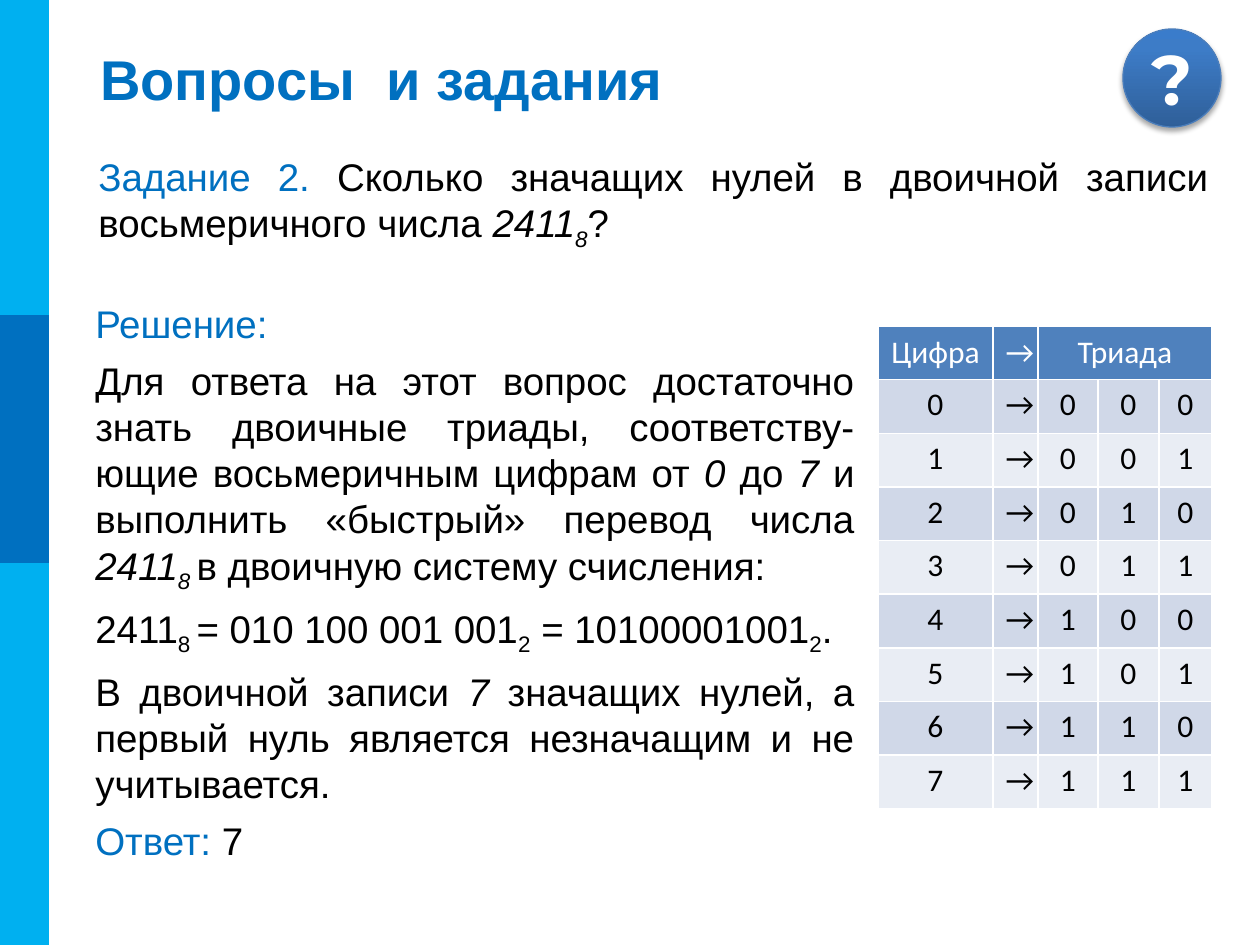
from lxml import etree
from pptx import Presentation
from pptx.dml.color import RGBColor
from pptx.enum.shapes import MSO_SHAPE
from pptx.enum.text import MSO_ANCHOR, PP_ALIGN
from pptx.util import Emu, Pt

RECTANGLE, OVAL = MSO_SHAPE.RECTANGLE, MSO_SHAPE.OVAL
TOP, MIDDLE = MSO_ANCHOR.TOP, MSO_ANCHOR.MIDDLE
LEFT, CENTER, JUSTIFY = PP_ALIGN.LEFT, PP_ALIGN.CENTER, PP_ALIGN.JUSTIFY

BLUE = RGBColor(0x00, 0x70, 0xC0)
CYAN = RGBColor(0x00, 0xB0, 0xF0)
BLACK = RGBColor(0x00, 0x00, 0x00)
WHITE = RGBColor(0xFF, 0xFF, 0xFF)
BADGE_LINE = RGBColor(0x4B, 0x7E, 0xBC)
HEADER = RGBColor(0x4F, 0x81, 0xBD)
ODD_ROW = RGBColor(0xD0, 0xD8, 0xE8)
EVEN_ROW = RGBColor(0xE9, 0xED, 0xF4)
BADGE_STOPS = [(0, "2F5F99"), (80, "3D7CC7"), (100, "3A7CCB")]

DRAWING = "http://schemas.openxmlformats.org/drawingml/2006/main"
ITALIC, SUB, BLUE_SPAN = "italic", "sub", "blue"

TASK = [
    (JUSTIFY, 4.4, [
        ("Задание 2. ", BLUE_SPAN),
        ("Сколько значащих нулей в двоичной записи восьмеричного числа ",),
        ("2411", ITALIC), ("8", ITALIC, SUB), ("?",)]),
]
SOLUTION = [
    (LEFT, 0, [("Решение:", BLUE_SPAN)]),
    (JUSTIFY, 6, [
        ("Для ответа на этот вопрос достаточно знать двоичные триады, "
         "соответству-ющие восьмеричным цифрам от ",),
        ("0", ITALIC), (" до ",), ("7", ITALIC),
        (" и выполнить «быстрый» перевод числа ",),
        ("2411", ITALIC), ("8 ", ITALIC, SUB),
        ("в двоичную систему счисления:",)]),
    (LEFT, 6, [
        ("2411",), ("8 ", SUB), ("= 010 100 001 001",), ("2", SUB),
        (" = 10100001001",), ("2", SUB), (".",)]),
    (JUSTIFY, 6, [
        ("В двоичной записи ",), ("7 ", ITALIC),
        ("значащих нулей, а первый нуль является незначащим и не учитывается.",)]),
    (JUSTIFY, 6, [("Ответ: ", BLUE_SPAN), ("7",)]),
]


def px(length):
    """Turn pixels into EMU."""
    return Emu(round(length * 914400 / 126))


def set_font(font, name, size, color, bold=False):
    """Set the main properties of a font."""
    font.name, font.size, font.bold = name, Pt(size), bold
    font.color.rgb = color


def add_preset(page, preset, left, top, width, height, fill):
    """Add a plain filled shape without line or shadow."""
    shape = page.shapes.add_shape(preset, px(left), px(top), px(width), px(height))
    shape.shadow.inherit = False
    shape.fill.solid()
    shape.fill.fore_color.rgb = fill
    shape.line.fill.background()
    return shape


def add_badge(page):
    """Add the round question mark with its gradient and soft shadow."""
    badge = add_preset(page, OVAL, 1123, 29, 98, 98, BLUE)
    badge.line.color.rgb = BADGE_LINE
    badge.line.width = Pt(0.75)
    stops = "".join(f'<a:gs pos="{place * 1000}"><a:srgbClr val="{color}"/></a:gs>'
                    for place, color in BADGE_STOPS)
    gradient = etree.fromstring(
        f'<a:gradFill xmlns:a="{DRAWING}"><a:gsLst>{stops}</a:gsLst>'
        '<a:lin ang="16200000" scaled="0"/></a:gradFill>')
    shadow = etree.fromstring(
        f'<a:outerShdw xmlns:a="{DRAWING}" blurRad="{Pt(3.1)}" dist="{Pt(1.8)}" '
        'dir="5400000" rotWithShape="0"><a:srgbClr val="000000">'
        '<a:alpha val="35000"/></a:srgbClr></a:outerShdw>')
    properties = badge.element.spPr
    properties.replace(properties.find(f"{{{DRAWING}}}solidFill"), gradient)
    properties.find(f"{{{DRAWING}}}effectLst").append(shadow)
    badge.text_frame.vertical_anchor = MIDDLE
    para = badge.text_frame.paragraphs[0]
    para.text, para.alignment = "?", CENTER
    set_font(para.font, "Montserrat", 40, WHITE, True)


def add_text(page, left, top, width, height, paragraphs,
             size=22, color=BLACK, bold=False, anchor=TOP):
    """Add a wrapped text box of paragraphs made of styled spans."""
    box = page.shapes.add_textbox(px(left), px(top), px(width), px(height))
    frame = box.text_frame
    frame.word_wrap, frame.vertical_anchor = True, anchor
    for index, (alignment, before, spans) in enumerate(paragraphs):
        para = frame.add_paragraph() if index else frame.paragraphs[0]
        para.alignment, para.space_before = alignment, Pt(before)
        set_font(para.font, "Arial", size, color, bold)
        for text, *styles in spans:
            span = para.add_run()
            span.text = text
            if ITALIC in styles:
                span.font.italic = True
            if BLUE_SPAN in styles:
                span.font.color.rgb = BLUE
            if SUB in styles:
                span.font._element.set("baseline", "-25000")


def fill_cell(cell, text, fill, color, anchor):
    """Write centred text into a filled table cell."""
    cell.fill.solid()
    cell.fill.fore_color.rgb = fill
    cell.vertical_anchor = anchor
    para = cell.text_frame.paragraphs[0]
    para.text, para.alignment = text, CENTER
    set_font(para.font, "Calibri", 18, color)


def add_triads(page):
    """Add the table of octal digits and their binary triads."""
    widths = [115, 45, 60, 61, 53]
    table = page.shapes.add_table(9, len(widths), px(878), px(326),
                                  px(sum(widths)), px(483)).table
    for column, width in zip(table.columns, widths):
        column.width = px(width)
    for index, text in enumerate(["Цифра", "→", "Триада", "", ""]):
        fill_cell(table.cell(0, index), text, HEADER, WHITE, MIDDLE)
    table.cell(0, 2).merge(table.cell(0, 4))
    for digit in range(8):
        fill = EVEN_ROW if digit % 2 else ODD_ROW
        for index, text in enumerate(f"{digit}→{digit:03b}"):
            fill_cell(table.cell(digit + 1, index), text, fill, BLACK, TOP)


def main():
    """Build the slide and save it."""
    deck = Presentation()
    deck.slide_width, deck.slide_height = px(1260), px(945)
    page = deck.slides.add_slide(deck.slide_layouts[6])
    add_preset(page, RECTANGLE, 0, 0, 49, 945, CYAN)
    add_preset(page, RECTANGLE, 0, 315, 49, 248, BLUE)
    add_badge(page)
    add_text(page, 88, 38, 1137, 81, [(LEFT, 0, [("Вопросы  и задания",)])],
             32, BLUE, True, MIDDLE)
    add_text(page, 86, 147, 1135, 136, TASK)
    add_triads(page)
    add_text(page, 83, 294, 784, 568, SOLUTION)
    deck.save("out.pptx")


if __name__ == "__main__":
    main()
